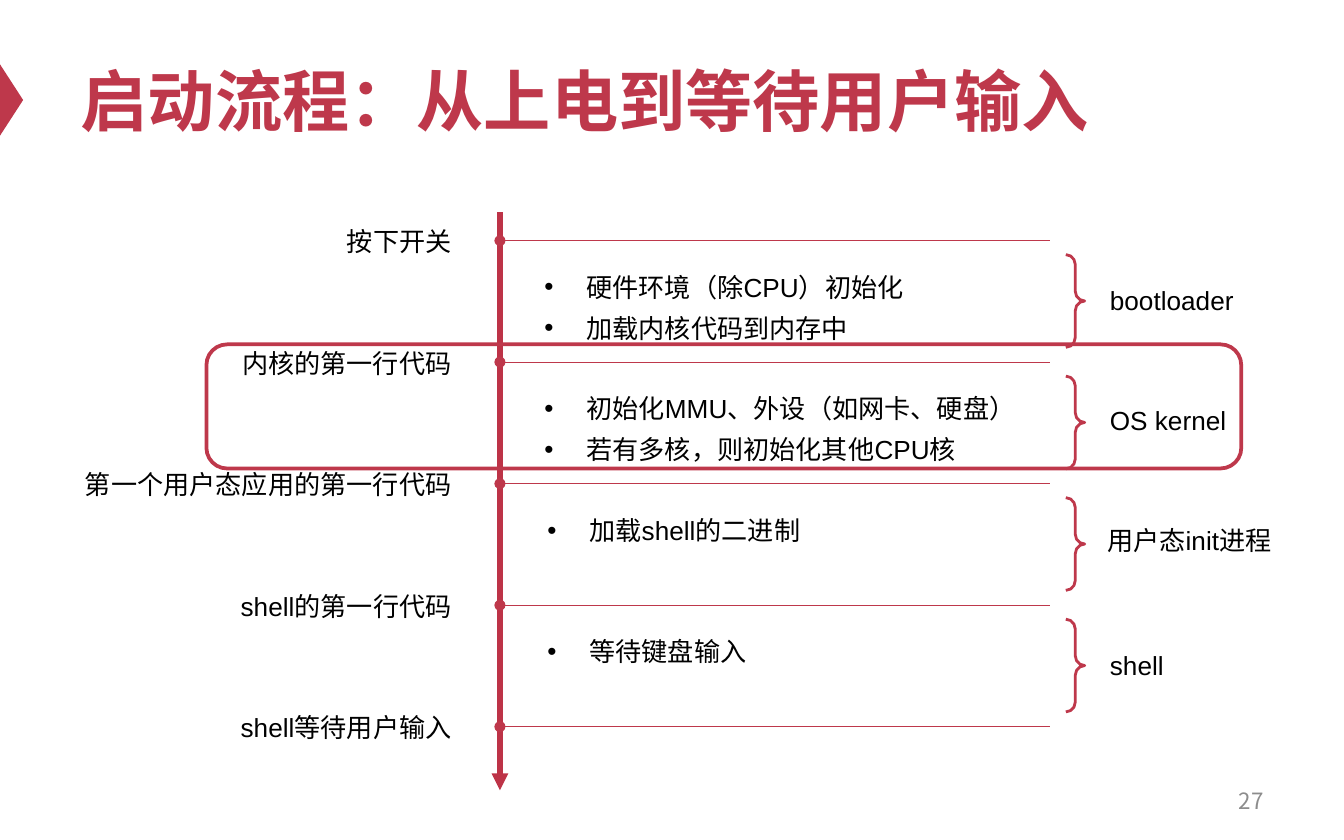
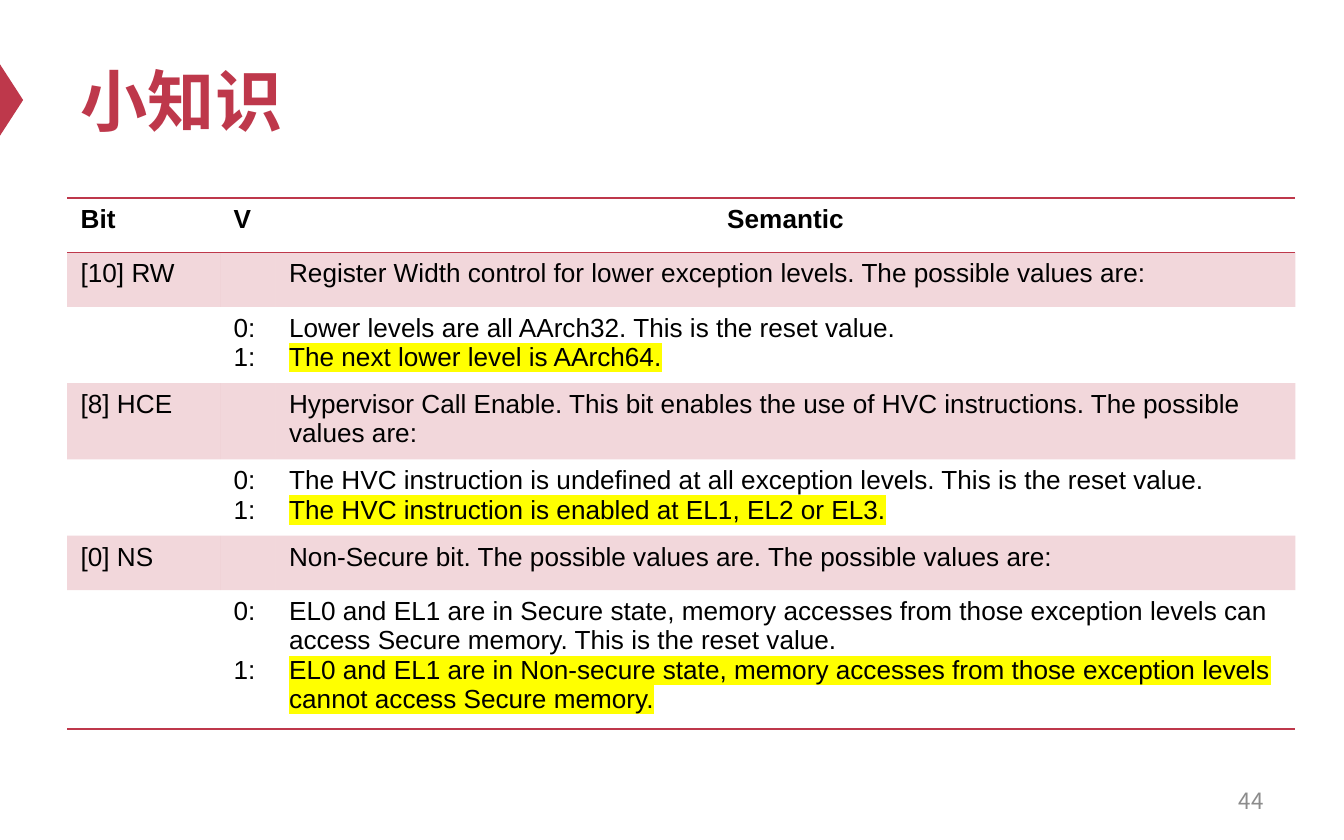
from dataclasses import dataclass
from typing import Any

from lxml import etree
from pptx import Presentation
from pptx.dml.color import RGBColor
from pptx.enum.shapes import MSO_CONNECTOR, MSO_SHAPE
from pptx.enum.text import MSO_ANCHOR, MSO_AUTO_SIZE, PP_ALIGN
from pptx.oxml.ns import qn
from pptx.util import Pt

# Enum members
LEFT, CENTER, RIGHT = PP_ALIGN.LEFT, PP_ALIGN.CENTER, PP_ALIGN.RIGHT
TOP, MIDDLE = MSO_ANCHOR.TOP, MSO_ANCHOR.MIDDLE
FIT_SHAPE, NO_FIT = MSO_AUTO_SIZE.SHAPE_TO_FIT_TEXT, MSO_AUTO_SIZE.NONE
STRAIGHT = MSO_CONNECTOR.STRAIGHT
TRIANGLE, BRACE = MSO_SHAPE.ISOSCELES_TRIANGLE, MSO_SHAPE.RIGHT_BRACE
ROUNDED = MSO_SHAPE.ROUNDED_RECTANGLE

# Colours
RED = RGBColor(0xBE, 0x38, 0x4B)
AXIS_RED = RGBColor(0xBD, 0x33, 0x47)
BLACK = RGBColor(0, 0, 0)
GREY = RGBColor(0x8C, 0x8C, 0x8C)
YELLOW = RGBColor(0xFF, 0xFF, 0)

# Text formats
ASIAN_FONT = "Noto Sans CJK SC"
TITLE = {"name": "Arial", "size": Pt(36), "bold": True}
BODY = {"name": "Arial", "size": Pt(14), "bold": False}
HEADER = BODY | {"bold": True}
NUMBER = {"name": ASIAN_FONT, "size": Pt(12), "bold": False}

# Layouts of the default template
COMPARISON, TITLE_ONLY = 4, 5

# Timeline geometry, in points
AXIS_X = 267.84
FIRST_EVENT = 128.9
PITCH = 65.1
EVENT_LINE_END = 562.3
LABEL_RIGHT = 249.1


@dataclass
class Box:
    left: float
    top: float
    width: float
    height: float

    def lengths(self) -> tuple:
        return Pt(self.left), Pt(self.top), Pt(self.width), Pt(self.height)


@dataclass
class Event:
    label: str
    width: float


@dataclass
class Phase:
    steps: list[str]
    list_left: float
    owner: str
    owner_box: Box


@dataclass
class Register:
    bit: str
    meaning: str
    zero: str
    one: str
    gap: float = 0


EVENTS = [
    Event("按下开关", 71.3),
    Event("内核的第一行代码", 127.4),
    Event("第一个用户态应用的第一行代码", 212.4),
    Event("shell的第一行代码", 128.2),
    Event("shell等待用户输入", 128.2),
]
PHASES = [
    Phase(["硬件环境（除CPU）初始化", "加载内核代码到内存中"], 284.4,
          "bootloader", Box(587.5, 149, 81.4, 24.5)),
    Phase(["初始化MMU、外设（如网卡、硬盘）", "若有多核，则初始化其他CPU核"], 284.4,
          "OS kernel", Box(587.5, 213.1, 77, 24.5)),
    Phase(["加载shell的二进制"], 286, "用户态init进程", Box(586, 277.2, 103, 24.5)),
    Phase(["等待键盘输入"], 286, "shell", Box(587.5, 344.2, 43.9, 24.5)),
]
REGISTERS = [
    Register("[10] RW",
             "Register Width control for lower exception levels. The possible values are:",
             "Lower levels are all AArch32. This is the reset value.",
             "The next lower level is AArch64."),
    Register("[8] HCE",
             "Hypervisor Call Enable. This bit enables the use of HVC instructions. "
             "The possible values are:",
             "The HVC instruction is undefined at all exception levels. "
             "This is the reset value.",
             "The HVC instruction is enabled at EL1, EL2 or EL3."),
    Register("[0] NS",
             "Non-Secure bit. The possible values are. The possible values are:",
             "EL0 and EL1 are in Secure state, memory accesses from those exception "
             "levels can access Secure memory. This is the reset value.",
             "EL0 and EL1 are in Non-secure state, memory accesses from those "
             "exception levels cannot access Secure memory.", gap=15.7),
]


def set_attributes(target: Any, values: dict) -> None:
    for name, value in values.items():
        setattr(target, name, value)


def add_element(parent: Any, tag: str, **attributes: str) -> Any:
    return etree.SubElement(parent, qn(tag), attributes)


# Text
def write(paragraph: Any, text: str, text_format: dict, color: RGBColor = BLACK,
          alignment: Any = LEFT, highlight: bool = False) -> None:
    paragraph.alignment = alignment
    run = paragraph.add_run()
    run.text = text
    set_attributes(run.font, text_format)
    run.font.color.rgb = color
    properties = run._r.get_or_add_rPr()
    add_element(properties, "a:ea", typeface=ASIAN_FONT)
    if highlight:
        mark = etree.Element(qn("a:highlight"))
        add_element(mark, "a:srgbClr", val=str(YELLOW))
        properties.find(qn("a:latin")).addprevious(mark)


def place(shape: Any, box: Box) -> None:
    set_attributes(shape, dict(zip(("left", "top", "width", "height"), box.lengths())))


def add_label(slide: Any, box: Box, text: str, alignment: Any = LEFT) -> None:
    frame = slide.shapes.add_textbox(*box.lengths()).text_frame
    set_attributes(frame, {"word_wrap": False, "auto_size": FIT_SHAPE})
    write(frame.paragraphs[0], text, BODY, alignment=alignment)


def fill_list(placeholder: Any, box: Box, items: list[str]) -> None:
    place(placeholder, box)
    frame = placeholder.text_frame
    set_attributes(frame, {"word_wrap": True, "auto_size": FIT_SHAPE,
                           "vertical_anchor": TOP})
    for index, item in enumerate(items):
        paragraph = frame.add_paragraph() if index else frame.paragraphs[0]
        properties = paragraph._p.get_or_add_pPr()
        properties.set("marL", str(Pt(22.5)))
        properties.set("indent", str(Pt(-22.5)))
        add_element(properties, "a:buFont", typeface="Arial")
        add_element(properties, "a:buChar", char="•")
        set_attributes(paragraph, {"line_spacing": 1.3, "space_before": Pt(0)})
        write(paragraph, item, BODY)


# Shapes and lines
def add_outline(slide: Any, kind: Any, box: Box, weight: float) -> Any:
    shape = slide.shapes.add_shape(kind, *box.lengths())
    shape.shadow.inherit = False
    shape.fill.background()
    shape.line.color.rgb = RED
    shape.line.width = Pt(weight)
    return shape


def add_line(slide: Any, start: tuple[float, float], end: tuple[float, float],
             color: RGBColor, weight: float, end_tag: str, end_type: str) -> None:
    points = [Pt(value) for value in (*start, *end)]
    connector = slide.shapes.add_connector(STRAIGHT, *points)
    connector.line.color.rgb = color
    connector.line.width = Pt(weight)
    add_element(connector.line._get_or_add_ln(), end_tag, type=end_type)
    add_element(connector._element.spPr, "a:effectLst")


# Title, marker and page number shared by the slides
def add_base_slide(presentation: Any, layout: int, title: str, number: str) -> Any:
    slide = presentation.slides.add_slide(presentation.slide_layouts[layout])
    marker = slide.shapes.add_shape(TRIANGLE, *Box(-12.9, 47.4, 38.2, 12.4).lengths())
    marker.rotation = 90
    marker.shadow.inherit = False
    marker.fill.solid()
    marker.fill.fore_color.rgb = RED
    marker.line.fill.background()

    place(slide.shapes.title, Box(36, 18, 648, 70.5))
    frame = slide.shapes.title.text_frame
    set_attributes(frame, {"auto_size": NO_FIT, "vertical_anchor": MIDDLE})
    write(frame.paragraphs[0], title, TITLE, RED)

    footer = slide.shapes.add_textbox(*Box(516, 417, 168, 24).lengths()).text_frame
    set_attributes(footer, {"word_wrap": True, "vertical_anchor": MIDDLE})
    write(footer.paragraphs[0], number, NUMBER, GREY, RIGHT)
    return slide


def build_boot_slide(presentation: Any) -> None:
    slide = add_base_slide(presentation, COMPARISON, "启动流程：从上电到等待用户输入", "27")

    # Time axis and its events
    add_line(slide, (AXIS_X, 113.6), (AXIS_X, 423.4), AXIS_RED, 3, "a:tailEnd", "triangle")
    for index, event in enumerate(EVENTS):
        y = FIRST_EVENT + index * PITCH
        add_label(slide, Box(LABEL_RIGHT - event.width, y - 11.5, event.width, 24.5),
                  event.label, RIGHT)
        add_line(slide, (AXIS_X, y), (EVENT_LINE_END, y), RED, 0.5, "a:headEnd", "oval")

    # Phases between the events
    lists = [shape for shape in slide.placeholders if shape.placeholder_format.idx]
    for index, (phase, placeholder) in enumerate(zip(PHASES, lists)):
        y = FIRST_EVENT + index * PITCH
        height = 49 if len(phase.steps) > 1 else 27.4
        fill_list(placeholder, Box(phase.list_left, y + 7.8, 278.6, height), phase.steps)
        brace = add_outline(slide, BRACE, Box(571, y + 7.5, 10.1, 49.7), 1.5)
        brace.adjustments[0] = 0.52
        add_label(slide, phase.owner_box, phase.owner)

    # Frame around the kernel phase
    add_outline(slide, ROUNDED, Box(110.6, 184.5, 554.4, 66.5), 2)


# Table
def add_border(cell: Any, tag: str) -> None:
    line = add_element(cell._tc.get_or_add_tcPr(), tag, w=str(Pt(1)))
    fill = add_element(line, "a:solidFill")
    add_element(fill, "a:srgbClr", val=str(RED))


def shade(cell: Any, shaded: bool) -> None:
    if not shaded:
        cell.fill.background()
        return
    cell.fill.solid()
    cell.fill.fore_color.rgb = RED
    color = cell._tc.tcPr.find(qn("a:solidFill")).find(qn("a:srgbClr"))
    add_element(color, "a:alpha", val="20000")


def write_pair(cell: Any, first: str, second: str, gap: float = 0,
               highlight: bool = False) -> None:
    write(cell.text_frame.paragraphs[0], first, BODY)
    paragraph = cell.text_frame.add_paragraph()
    paragraph.space_before = Pt(gap)
    write(paragraph, second, BODY, highlight=highlight)


def build_register_slide(presentation: Any) -> None:
    slide = add_base_slide(presentation, TITLE_ONLY, "小知识", "44")
    row_count = 1 + 2 * len(REGISTERS)
    row_height = 29.2
    box = Box(36, 106, 658, row_count * row_height)
    table = slide.shapes.add_table(row_count, 3, *box.lengths()).table
    set_attributes(table, {"first_row": False, "horz_banding": False})
    style = table._tbl.tblPr.find(qn("a:tableStyleId"))
    style.text = "{2D5ABB26-0587-4C30-8999-92F81FD0307C}"
    for column, width in zip(table.columns, (82, 29.7, 546.3)):
        column.width = Pt(width)

    # Borders and row shading
    for index, row in enumerate(table.rows):
        row.height = Pt(row_height)
        for cell in row.cells:
            if index == 0:
                add_border(cell, "a:lnT")
            if index in (0, row_count - 1):
                add_border(cell, "a:lnB")
            shade(cell, index % 2 == 1)

    # Header and register rows
    headings = (("Bit", LEFT), ("V", LEFT), ("Semantic", CENTER))
    for column, (heading, alignment) in enumerate(headings):
        paragraph = table.cell(0, column).text_frame.paragraphs[0]
        write(paragraph, heading, HEADER, alignment=alignment)
    for index, register in enumerate(REGISTERS):
        row = 1 + 2 * index
        write(table.cell(row, 0).text_frame.paragraphs[0], register.bit, BODY)
        write(table.cell(row, 2).text_frame.paragraphs[0], register.meaning, BODY)
        write_pair(table.cell(row + 1, 1), "0:", "1:", register.gap)
        write_pair(table.cell(row + 1, 2), register.zero, register.one, highlight=True)


def main() -> None:
    presentation = Presentation()
    presentation.slide_width = Pt(720)
    presentation.slide_height = Pt(450)
    build_boot_slide(presentation)
    build_register_slide(presentation)
    presentation.save("out.pptx")


if __name__ == "__main__":
    main()
